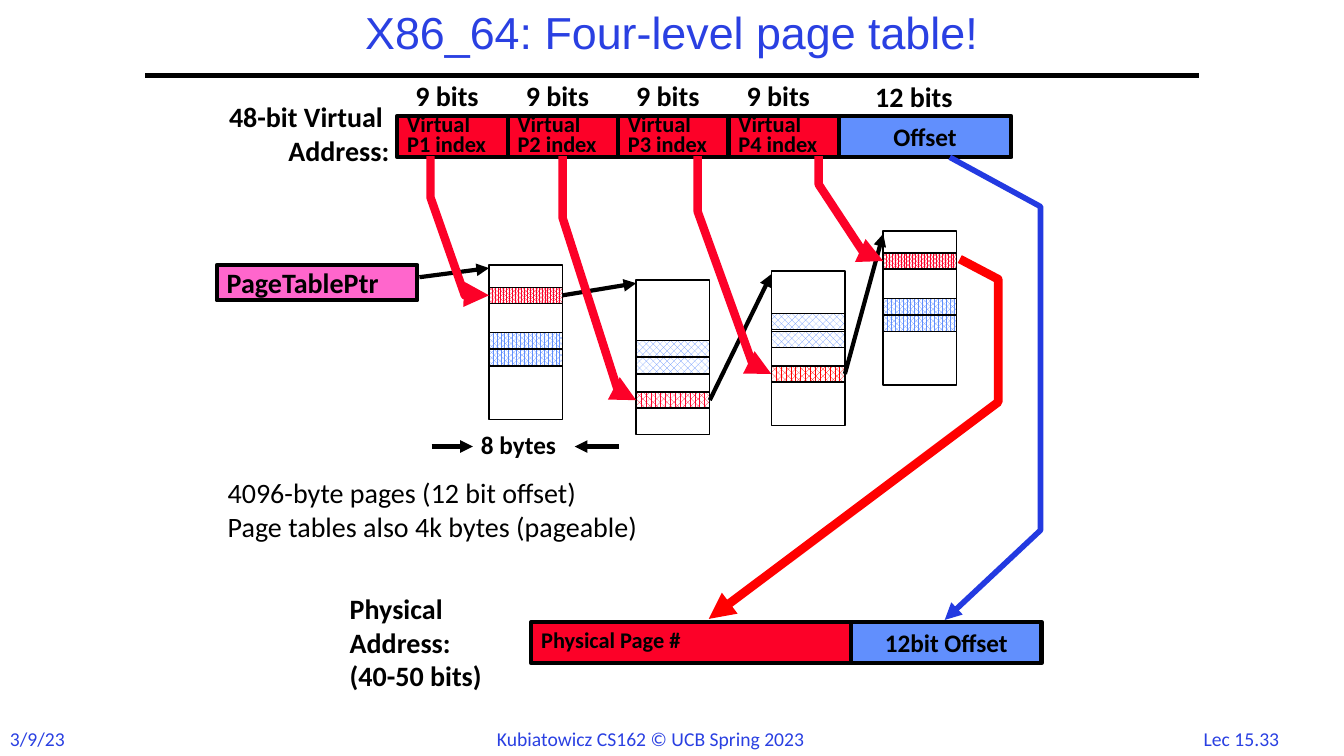
from dataclasses import dataclass
from typing import NamedTuple

from lxml.etree import SubElement
from pptx import Presentation
from pptx.dml.color import RGBColor
from pptx.enum.dml import MSO_PATTERN
from pptx.enum.shapes import MSO_CONNECTOR, MSO_SHAPE
from pptx.enum.text import MSO_ANCHOR, PP_ALIGN
from pptx.oxml.ns import qn
from pptx.util import Inches, Pt


@dataclass(frozen=True)
class Theme:
    black = RGBColor.from_string("000000")
    white = RGBColor.from_string("FFFFFF")
    title = RGBColor.from_string("2A40E2")
    red = RGBColor.from_string("FC0128")
    pure = RGBColor.from_string("FF0000")
    blue = RGBColor.from_string("618FFD")
    route = RGBColor.from_string("233AE1")
    pink = RGBColor.from_string("FF66CC")
    head = "Arial"
    body = "Calibri"
    huge = 32
    large = 20
    mid = 18
    small = 16
    foot = 14


THEME = Theme()
WIDE, TIGHT = (0.1, 0.05), (0.07, 0.03)
ROW = 0.16


class Box(NamedTuple):
    left: float
    top: float
    width: float
    height: float

    def inner(self, left, top, width, height):
        """Box given relative to this one's top left corner."""
        return Box(self.left + left, self.top + top, width, height)

    def emu(self):
        return [Inches(value) for value in self]


class Table(NamedTuple):
    left: float
    top: float
    red: float
    blues: tuple
    fills: tuple
    start: float
    bend: float
    knee: float


def write(shape, text, size=THEME.large, font=THEME.body, color=THEME.black,
          bold=True, align=PP_ALIGN.LEFT, space=1.0, pad=WIDE,
          anchor=MSO_ANCHOR.TOP, wrap=True):
    frame = shape.text_frame
    frame.text = text
    frame.word_wrap = wrap
    frame.vertical_anchor = anchor
    frame.margin_left = frame.margin_right = Inches(pad[0])
    frame.margin_top = frame.margin_bottom = Inches(pad[1])
    for para in frame.paragraphs:
        para.alignment, para.line_spacing = align, space
        for run in para.runs:
            run.font.name, run.font.size = font, Pt(size)
            run.font.bold, run.font.color.rgb = bold, color


def label(shapes, box, text, **form):
    write(shapes.add_textbox(*box.emu()), text, **form)


def rect(shapes, box, fill=None, width=3, pattern=None):
    shape = shapes.add_shape(MSO_SHAPE.RECTANGLE, *box.emu())
    shape.shadow.inherit = False
    shape.line.color.rgb, shape.line.width = THEME.black, Pt(width)
    if fill is None:
        shape.fill.background()
    elif pattern is None:
        shape.fill.solid()
        shape.fill.fore_color.rgb = fill
    else:
        shape.fill.patterned()
        shape.fill.pattern = pattern
        shape.fill.fore_color.rgb = fill
        shape.fill.back_color.rgb = THEME.white
    return shape


def field(shapes, box, text, fill, **form):
    write(rect(shapes, box, fill), text, anchor=MSO_ANCHOR.MIDDLE, **form)


def stroke(shape, color, width, arrow=True):
    shape.line.color.rgb, shape.line.width = color, Pt(width)
    if arrow:
        SubElement(shape.line._get_or_add_ln(), qn("a:tailEnd"), type="triangle")


def line(shapes, start, end, arrow=True):
    points = [Inches(value) for value in (*start, *end)]
    link = shapes.add_connector(MSO_CONNECTOR.STRAIGHT, *points)
    stroke(link, THEME.black, 3, arrow)
    SubElement(link._element.spPr, qn("a:effectLst"))
    return link


def route(shapes, points, color, width):
    """Bent arrow through the points."""
    start, *rest = [(Inches(x), Inches(y)) for x, y in points]
    pen = shapes.build_freeform(*start)
    pen.add_line_segments(rest, close=False)
    shape = pen.convert_to_shape()
    shape.shadow.inherit = False
    shape.fill.background()
    stroke(shape, color, width)


def header(shapes, box):
    title = shapes.title
    title.left, title.top, title.width, title.height = box.inner(2.09, 0, 6.27, 0.54).emu()
    write(title, "X86_64: Four-level page table!", size=THEME.huge,
          font=THEME.head, color=THEME.title, bold=False,
          align=PP_ALIGN.CENTER, space=0.9, pad=TIGHT, wrap=False)
    base = box.top + box.height
    line(shapes, (box.left, base), (box.left + box.width, base), arrow=False)


def footer(shapes, box):
    for left, width, text in ((0, 0.75, "3/9/23"),
                              (4.83, 3.68, "Kubiatowicz CS162 © UCB Spring 2023"),
                              (11.84, 1.08, "Lec 15.33")):
        label(shapes, box.inner(left, 0, width, box.height), text,
              size=THEME.foot, color=THEME.title, bold=False, wrap=width > 1)


def virtual(shapes, box):
    label(shapes, box.inner(-1.97, -0.21, 1.99, 0.77),
          "48-bit Virtual \nAddress:", align=PP_ALIGN.RIGHT)
    step = 1.095
    for index in range(4):
        left = index * step
        label(shapes, box.inner(left + 0.11, -0.36, 0.87, 0.36), "9 bits",
              space=0.9, pad=TIGHT)
        field(shapes, box.inner(left, 0, step, box.height),
              f"Virtual\nP{index + 1} index", THEME.red,
              size=THEME.small, space=0.75)
    left = 4 * step
    label(shapes, box.inner(left + 0.29, -0.35, 1.03, 0.36), "12 bits",
          space=0.9, pad=TIGHT)
    field(shapes, box.inner(left, 0, box.width - left, box.height), "Offset",
          THEME.blue, size=THEME.mid, align=PP_ALIGN.CENTER)


def table(shapes, box, item):
    """Draw one page table and return the entry that is looked up."""
    rect(shapes, box, width=1)
    color, hot, cold = item.fills
    for top in item.blues:
        rect(shapes, box.inner(0, top, box.width, ROW), THEME.blue, 1, cold)
    return rect(shapes, box.inner(0, item.red, box.width, ROW), color, 1, hot)


def walk(shapes, box):
    """Chain of page tables, from the pointer to the last level."""
    dense = (THEME.red, MSO_PATTERN.PERCENT_80, MSO_PATTERN.PERCENT_75)
    light = (THEME.red, MSO_PATTERN.PERCENT_70, MSO_PATTERN.PERCENT_50)
    pure = (THEME.pure, *light[1:])
    tables = (
        Table(2.7, 1.08, 0.22, (0.67, 0.84), dense, 2.12, 0.41, 0.24),
        Table(4.16, 1.23, 1.11, (0.6, 0.77), light, 3.43, 0.61, 0.15),
        Table(5.5, 1.14, 0.94, (0.42, 0.6), pure, 4.77, 0.55, 0.15),
        Table(6.61, 0.74, 0.22, (0.67, 0.84), dense, 5.97, 0.28, 0.14),
    )
    field(shapes, box.inner(0, 1.08, 1.99, 0.35), "PageTablePtr", THEME.pink)
    entry = None
    for item in tables:
        body = box.inner(item.left, item.top, 0.73, 1.53)
        begin = (box.left + 2.01, box.top + 1.2)
        link = line(shapes, begin, (body.left, body.top + 0.03))
        if entry:
            link.begin_connect(entry, 3)
        entry = table(shapes, body, item)
        start, level = box.left + item.start, body.top + item.red + ROW / 2
        bend = box.top + item.bend
        route(shapes, ((start, box.top), (start, bend),
                       (body.left - item.knee, level), (body.left, level)),
              THEME.red, 6)


def gauge(shapes, box):
    """Width mark under the first table."""
    label(shapes, box.inner(0.42, 0, 1.01, box.height), "8 bytes",
          size=THEME.mid, space=0.9, pad=TIGHT)
    level, right = box.top + 0.17, box.left + box.width
    line(shapes, (box.left, level), (box.left + 0.41, level))
    line(shapes, (right, level), (right - 0.44, level))


def physical(shapes, box):
    label(shapes, box.inner(-1.9, -0.35, 1.68, 1.11),
          "Physical\nAddress:\n(40-50 bits)")
    split = 3.17
    field(shapes, box.inner(split, 0, box.width - split, box.height),
          "12bit Offset", THEME.blue, size=THEME.mid, align=PP_ALIGN.CENTER)
    field(shapes, box.inner(0, 0, split, box.height), "Physical Page #",
          THEME.red, size=THEME.small, space=0.75)


def main():
    deck = Presentation()
    deck.slide_width, deck.slide_height = Inches(13.33), Inches(7.5)
    shapes = deck.slides.add_slide(deck.slide_layouts[5]).shapes
    header(shapes, Box(1.44, 0.08, 10.45, 0.67))
    footer(shapes, Box(0, 7.16, 13.33, 0.34))
    virtual(shapes, Box(3.94, 1.15, 6.09, 0.41))
    walk(shapes, Box(2.15, 1.55, 7.34, 2.76))
    gauge(shapes, Box(4.28, 4.26, 1.86, 0.33))
    physical(shapes, Box(5.27, 6.17, 5.06, 0.41))
    route(shapes, ((9.42, 1.56), (10.32, 2.05), (10.32, 5.26), (9.37, 6.15)),
          THEME.route, 4)
    route(shapes, ((9.52, 2.57), (9.9, 2.77), (9.9, 3.99), (7.03, 6.14)),
          THEME.pure, 6.25)
    label(shapes, Box(2.16, 4.67, 4.81, 0.77),
          "4096-byte pages (12 bit offset)\vPage tables also 4k bytes (pageable)",
          bold=False)
    deck.save("out.pptx")


if __name__ == "__main__":
    main()
